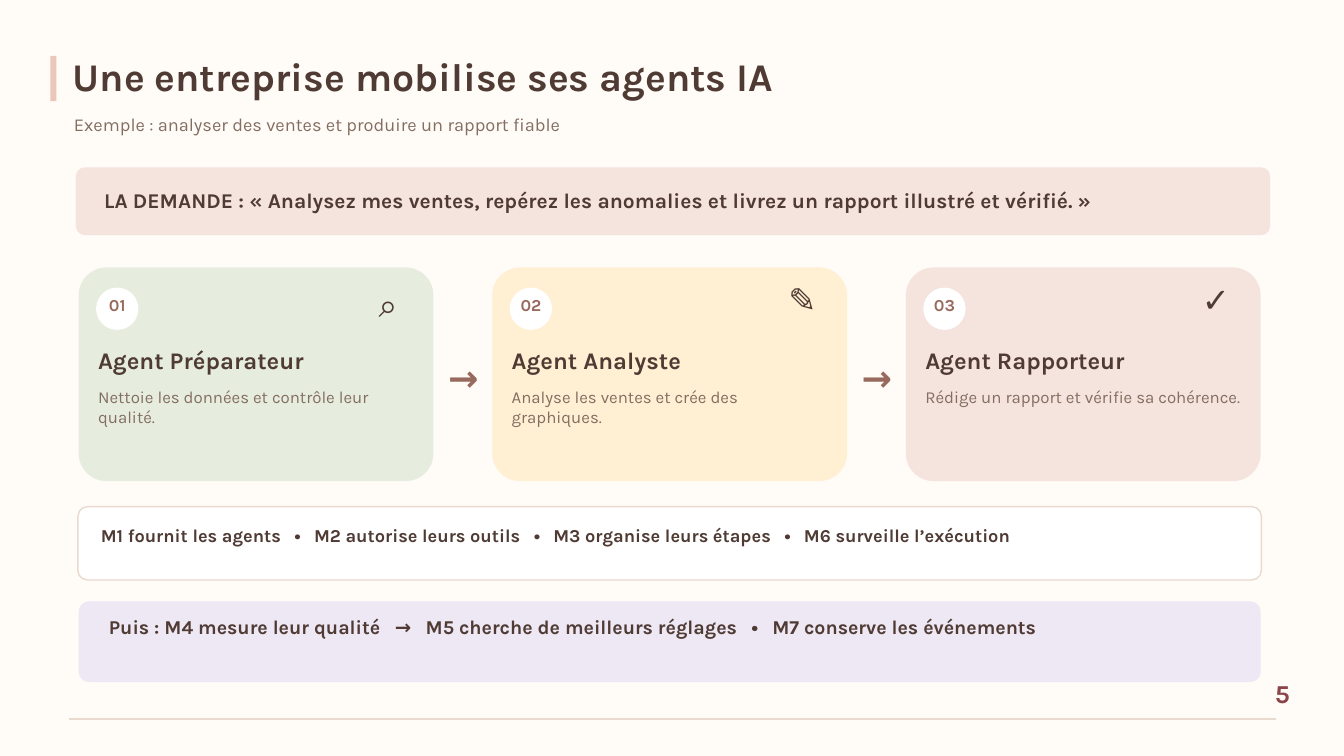
from pptx import Presentation
from pptx.dml.color import RGBColor
from pptx.enum.shapes import MSO_CONNECTOR, MSO_SHAPE
from pptx.enum.text import PP_ALIGN
from pptx.oxml.ns import qn
from pptx.util import Inches, Pt
from lxml.etree import SubElement

INK, TAUPE, CLAY, WINE = "4F3B34", "846D61", "986A5E", "8A4549"
CREAM, BLUSH, ROSE, BORDER = "FFFBF7", "F5E3DD", "EAC7B9", "E9D9CE"
SAGE, HONEY, LILAC, WHITE = "E6EDDE", "FFF0D4", "EEE8F4", "FFFFFF"


def color(hex_code):
    """Turn a hex string into a colour."""
    return RGBColor.from_string(hex_code)


class Board:
    """Draw on one slide with a grid of 80 columns by 45 rows."""

    def __init__(self, deck, font="Karla", columns=80, rows=45):
        """Add a blank slide and keep its style."""
        self.slide = deck.slides.add_slide(deck.slide_layouts[6])
        self.font = font
        self.column = deck.slide_width / columns
        self.row = deck.slide_height / rows
        backdrop = self.slide.background.fill
        backdrop.solid()
        backdrop.fore_color.rgb = color(CREAM)

    def place(self, left, top, width, height):
        """Convert grid cells to slide lengths."""
        return (round(left * self.column), round(top * self.row),
                round(width * self.column), round(height * self.row))

    def panel(self, area, fill, preset=MSO_SHAPE.ROUNDED_RECTANGLE, outline=None):
        """Add a filled shape."""
        panel = self.slide.shapes.add_shape(preset, *self.place(*area))
        panel.shadow.inherit = False
        if preset == MSO_SHAPE.ROUNDED_RECTANGLE:
            panel.adjustments[0] = 0.13
        panel.fill.solid()
        panel.fill.fore_color.rgb = color(fill)
        if outline:
            panel.line.color.rgb = color(outline)
            panel.line.width = Pt(1.5)
        else:
            panel.line.fill.background()

    def rule(self, left, right, row, stroke):
        """Add a horizontal line."""
        x, y, length, _ = self.place(left, row, right - left, 0)
        rule = self.slide.shapes.add_connector(MSO_CONNECTOR.STRAIGHT, x, y, x + length, y)
        rule.line.color.rgb = color(stroke)
        rule.line.width = Pt(1.5)
        SubElement(rule._element.spPr, qn("a:effectLst"))

    def paragraph(self, area, size, align):
        """Add a text box without margins and return its paragraph."""
        frame = self.slide.shapes.add_textbox(*self.place(*area)).text_frame
        frame.word_wrap = True
        frame.margin_left = frame.margin_right = frame.margin_top = frame.margin_bottom = 0
        paragraph = frame.paragraphs[0]
        paragraph.alignment = align
        paragraph.line_spacing = Pt(round(size * 1.2, 1))
        return paragraph

    def run(self, paragraph, words, size, ink, bold, font=None, tracking=0):
        """Add one run to a paragraph."""
        run = paragraph.add_run()
        run.text = words
        run.font.name = font or self.font
        run.font.size = Pt(size)
        run.font.bold = bold
        run.font.color.rgb = color(ink)
        if tracking:
            run.font._element.set("spc", str(round(tracking * 100)))

    def text(self, area, words, size, ink=INK, bold=True, align=PP_ALIGN.LEFT, font=None):
        """Add a text of one run."""
        self.run(self.paragraph(area, size, align), words, size, ink, bold, font)

    def chain(self, area, parts, size):
        """Add phrases and separators with wide gaps between them."""
        paragraph = self.paragraph(area, size, PP_ALIGN.LEFT)
        for index, part in enumerate(parts):
            if index:
                self.run(paragraph, " ", size, INK, True, tracking=size * 0.48)
            self.run(paragraph, part, size, INK, True)

    def agent(self, left, number, name, task, fill, icon, icon_top, icon_font):
        """Add the card of one agent."""
        self.panel((left, 15.92, 21.12, 12.72), fill)
        self.panel((left + 1.04, 17.12, 2.52, 2.52), WHITE, MSO_SHAPE.OVAL)
        self.text((left + 1.12, 17.56, 2.36, 1.08), number, 18, CLAY, align=PP_ALIGN.CENTER)
        self.text((left + 1.16, 20.6, 19.2, 2.16), name, 25.5)
        self.text((left + 1.16, 23, 18.96, 3.96), task, 18, TAUPE, bold=False)
        self.text((left + 16.8, icon_top, 3.32, 3), icon, 36,
                  align=PP_ALIGN.CENTER, font=icon_font)


def main():
    """Build the slide and save it."""
    deck = Presentation()
    deck.slide_width, deck.slide_height = Inches(20), Inches(11.25)
    board = Board(deck)

    board.panel((3, 3.32, 0.36, 2.7), ROSE, MSO_SHAPE.RECTANGLE)
    board.text((4.32, 3.12, 63.04, 3.2), "Une entreprise mobilise ses agents IA", 42)
    board.text((4.4, 6.72, 66.04, 2.36),
               "Exemple : analyser des ventes et produire un rapport fiable",
               19.5, TAUPE, bold=False)
    board.rule(4.08, 75.96, 42.8, BORDER)

    board.panel((4.52, 9.96, 71.08, 4.04), BLUSH)
    board.text((6.2, 11.16, 67.6, 1.8),
               "LA DEMANDE : « Analysez mes ventes, repérez les anomalies "
               "et livrez un rapport illustré et vérifié. »", 22.5)

    agents = [
        ("01", "Agent Préparateur", "Nettoie les données et contrôle leur qualité.",
         SAGE, "⌕", 16.88, "Karla"),
        ("02", "Agent Analyste", "Analyse les ventes et crée des graphiques.",
         HONEY, "✎", 16.6, "Calibri"),
        ("03", "Agent Rapporteur", "Rédige un rapport et vérifie sa cohérence.",
         BLUSH, "✓", 16.6, "Calibri"),
    ]
    first, pitch = 4.68, 24.62
    for step, agent in enumerate(agents):
        left = first + step * pitch
        board.agent(left, *agent)
        if step < len(agents) - 1:
            board.text((left + 21.54, 21.12, 2.72, 2.28), "→", 39, CLAY,
                       align=PP_ALIGN.CENTER)

    board.panel((4.64, 30.16, 70.44, 4.36), WHITE, outline=BORDER)
    board.chain((6, 31.24, 67.84, 2.24),
                ["M1 fournit les agents", "•", "M2 autorise leurs outils", "•",
                 "M3 organise leurs étapes", "•", "M6 surveille l’exécution"], 19.5)
    board.panel((4.68, 35.8, 70.36, 4.8), LILAC)
    board.chain((6.48, 36.6, 66.76, 2.08),
                ["Puis : M4 mesure leur qualité", "→", "M5 cherche de meilleurs réglages",
                 "•", "M7 conserve les événements"], 21)
    board.text((75.88, 40.32, 0.84, 1.84), "5", 27.7, WINE, align=PP_ALIGN.CENTER)

    deck.save("out.pptx")


if __name__ == "__main__":
    main()
